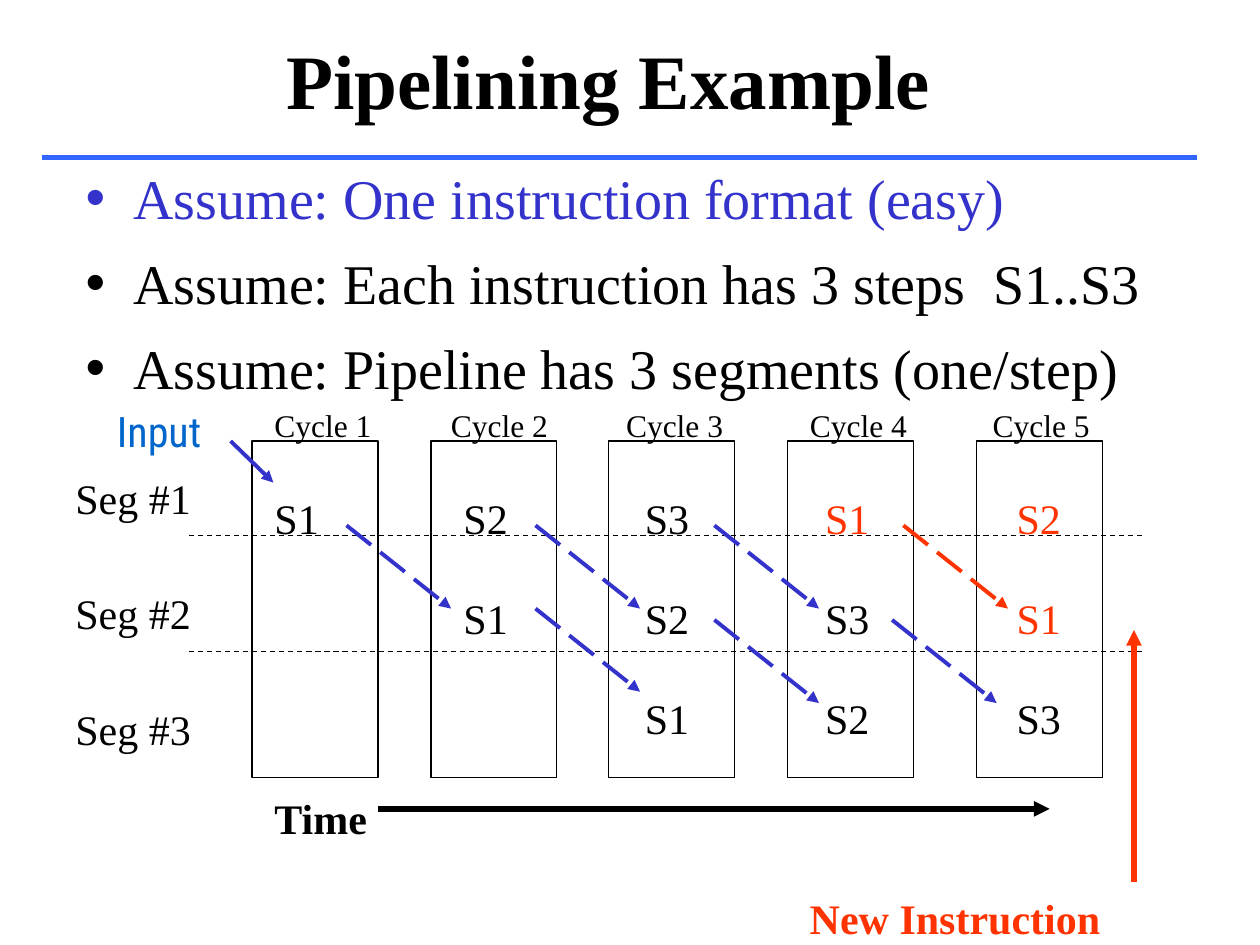
from lxml import etree
from pptx import Presentation
from pptx.dml.color import RGBColor
from pptx.enum import dml, shapes, text
from pptx.oxml import ns
from pptx.util import Inches, Pt

BLACK, BLUE, RED = "000000", "3333CC", "FF3300"
SERIF = "Times New Roman"


def color(code):
    return RGBColor.from_string(code)


def sub(parent, tag, **attrs):
    return etree.SubElement(parent, ns.qn(tag), attrs)


def style(font, size, code=BLACK, bold=False, name=SERIF):
    font.size, font.bold, font.name = Pt(size), bold, name
    font.color.rgb = color(code)


def place(shape, box):
    shape.left, shape.top, shape.width, shape.height = map(Inches, box)


def stroke(shape, code, width, dash=None, head=False):
    shape.line.color.rgb = color(code)
    shape.line.width = Pt(width)
    if dash:
        shape.line.dash_style = dash
    if head:
        sub(shape.line._get_or_add_ln(), "a:tailEnd", type="triangle")


def line(slide, start, end, code, width, dash=None, head=False):
    link = slide.shapes.add_connector(
        shapes.MSO_CONNECTOR.STRAIGHT, *map(Inches, start + end))
    stroke(link, code, width, dash, head)
    sub(link._element.spPr, "a:effectLst")


def label(slide, box, wrap=True):
    frame = slide.shapes.add_textbox(*map(Inches, box)).text_frame
    frame.word_wrap = wrap
    return frame


def lines(frame, count):
    """Return the frame's paragraphs, extended to count."""
    while len(frame.paragraphs) < count:
        frame.add_paragraph()
    return frame.paragraphs


def title(slide, box):
    head = slide.shapes.title
    place(head, box)
    head.text_frame.text = "Pipelining Example"
    head.text_frame.vertical_anchor = text.MSO_ANCHOR.MIDDLE
    para = head.text_frame.paragraphs[0]
    para.alignment = text.PP_ALIGN.CENTER
    style(para.font, 44, bold=True)
    # Rule under the title
    line(slide, (0.33, 1.25), (9.5, 1.25), "3366FF", 3)


def points(slide, box):
    body = slide.placeholders[1]
    place(body, box)
    frame = body.text_frame
    frame.auto_size = text.MSO_AUTO_SIZE.NONE
    items = [("Assume: One instruction format (easy)", BLUE),
             ("Assume: Each instruction has 3 steps  S1..S3", BLACK),
             ("Assume: Pipeline has 3 segments (one/step)", BLACK)]
    for i, (para, (words, code)) in enumerate(zip(lines(frame, 3), items)):
        para.text = words
        para.space_before = Pt(10 if i else 0)
        props = para._p.get_or_add_pPr()
        props.set("marL", str(Inches(0.38)))
        props.set("indent", str(-Inches(0.38)))
        sub(sub(props, "a:buClr"), "a:srgbClr", val=code)
        sub(props, "a:buChar", char="•")
        style(para.font, 32, code)


def frames(slide, top, height):
    for left in (2, 3.42, 4.83, 6.25, 7.75):
        cell = slide.shapes.add_shape(
            shapes.MSO_SHAPE.RECTANGLE, *map(Inches, (left, top, 1, height)))
        cell.fill.background()
        cell.shadow.inherit = False
        stroke(cell, BLACK, 0.75)
    # Segment dividers
    for y in (4.25, 5.17):
        line(slide, (1.5, y), (9.08, y), BLACK, 0.75, dml.MSO_LINE.DASH)


def steps(slide, box):
    """Each row holds its black words, then its red words."""
    heads = (1.4, 2.79, 4.25, 5.7)
    cols = (1.5, 2.94, 4.37, 5.89)
    rows = [("\t".join(f"Cycle {n}" for n in range(1, 6)), "", heads),
            ("S1\tS2\tS3\t", "S1\tS2", cols),
            ("\tS1\tS2\tS3\t", "S1", cols),
            ("\t\tS1\tS2\tS3", "", cols),
            ("Time", "", ()),
            ("", "New Instruction", ())]
    paras = lines(label(slide, box), len(rows))
    for i, (para, (dark, red, stops)) in enumerate(zip(paras, rows)):
        if i:
            para.line_spacing, para.space_before = 1.4, Pt(16.8)
        if stops:
            tabs = sub(para._p.get_or_add_pPr(), "a:tabLst")
            for stop in stops:
                sub(tabs, "a:tab", pos=str(Inches(stop)), algn="l")
        for words, code in ((dark, BLACK), (red, RED)):
            if words:
                run = para.add_run()
                run.text = words
                style(run.font, 24 if i else 18, code, bold=not stops)
    paras[-1].alignment = text.PP_ALIGN.RIGHT


def flow(slide):
    # Moves from one segment to the next
    starts = [(2.75, 4.17), (4.25, 4.17), (4.25, 4.83), (5.67, 4.17),
              (7.08, 4.92), (5.67, 4.92), (7.17, 4.17)]
    for x, y in starts:
        code = RED if x == 7.17 else BLUE
        line(slide, (x, y), (x + 0.83, y + 0.66), code, 2.25,
             dml.MSO_LINE.LONG_DASH, True)
    # Time axis and input
    line(slide, (3, 6.42), (8.33, 6.42), BLACK, 3, head=True)
    line(slide, (1.83, 3.5), (2.17, 3.83), BLUE, 2.25, head=True)


def curve(slide):
    """Curved arrow: a start, then three points for each Bezier piece."""
    dots = [(8.83, 7.08), (8.97, 7.1), (9.1, 7.11), (9.2, 7),
            (9.3, 6.89), (9.38, 6.6), (9.42, 6.42),
            (9.46, 6.24), (9.45, 6.15), (9.42, 5.92),
            (9.4, 5.68), (9.34, 5.19), (9.27, 5),
            (9.21, 4.81), (9.09, 4.79), (9.05, 4.75)]
    pen = slide.shapes.build_freeform(*dots[0], scale=Inches(1) / 1.0)
    pen.add_line_segments(dots[1:], close=False)
    arrow = pen.convert_to_shape()
    arrow.fill.background()
    arrow.shadow.inherit = False
    stroke(arrow, RED, 3, head=True)
    # Turn each three straight segments into one Bezier piece
    route = next(arrow._element.iter(ns.qn("a:path")))
    legs = route.findall(ns.qn("a:lnTo"))
    for i in range(0, len(legs), 3):
        bend = sub(route, "a:cubicBezTo")
        for leg in legs[i:i + 3]:
            bend.append(leg[0])
            route.remove(leg)


def names(slide, box):
    for i, para in enumerate(lines(label(slide, box), 3)):
        para.text = f"Seg #{i + 1}"
        para.line_spacing, para.space_before = 1.7, Pt(17 if i else 0)
        style(para.font, 24)


def entry(slide, box):
    para = label(slide, box, wrap=False).paragraphs[0]
    para.text = "Input"
    style(para.font, 24, "0066CC", name="Roboto Condensed")


def main():
    deck = Presentation()
    deck.slide_width, deck.slide_height = Inches(10), Inches(7.5)
    slide = deck.slides.add_slide(deck.slide_layouts[1])
    title(slide, (0.58, 0, 8.5, 1.25))
    points(slide, (0.58, 1.25, 8.75, 5.42))
    frames(slide, 3.5, 2.67)
    steps(slide, (2.08, 3.17, 6.75, 4.24))
    curve(slide)
    flow(slide)
    names(slide, (0.5, 3.42, 1.25, 2.56))
    entry(slide, (0.83, 3.17, 1.08, 0.5))
    deck.save("out.pptx")


if __name__ == "__main__":
    main()
